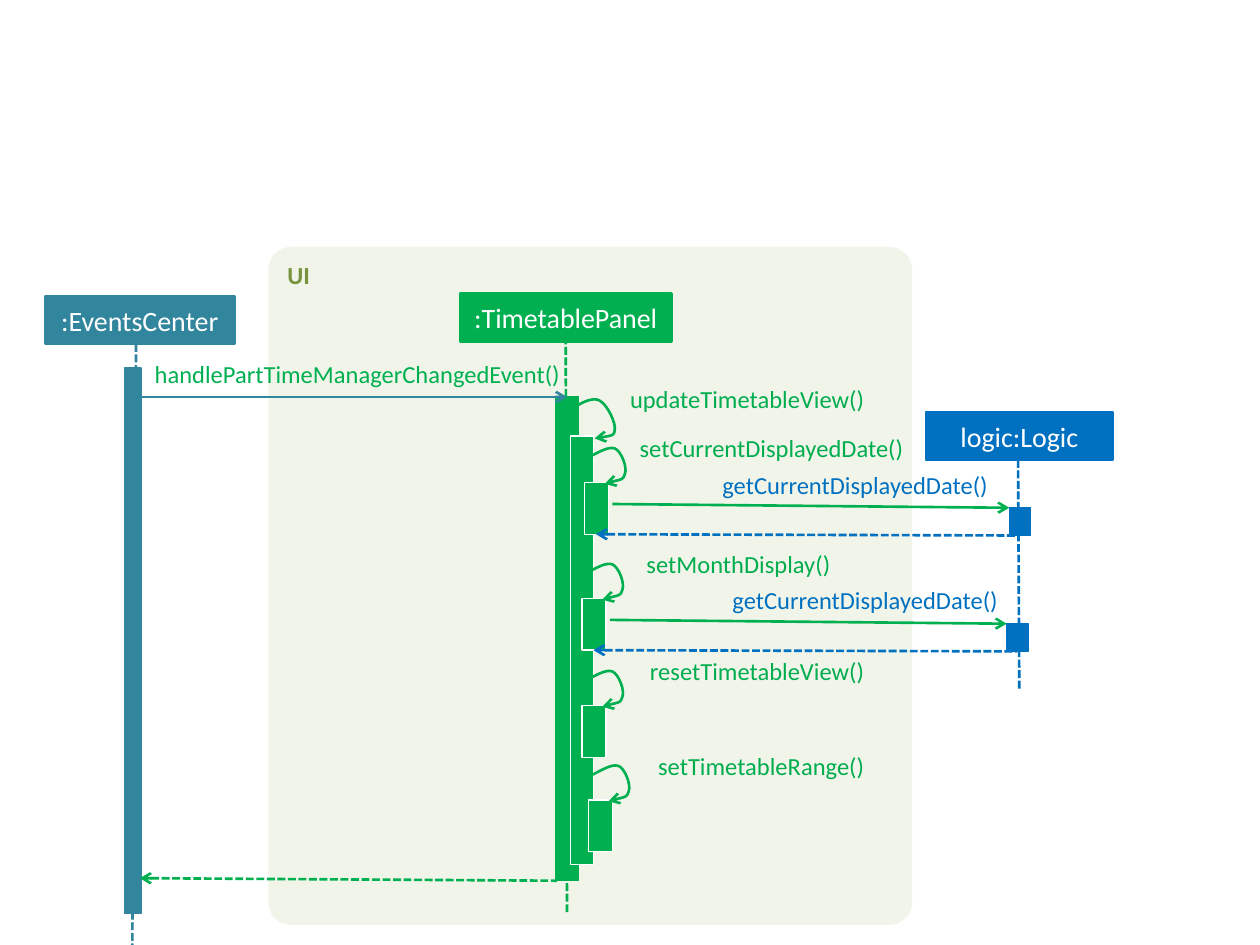
from dataclasses import dataclass

from pptx import Presentation, util as u
from pptx.dml.color import RGBColor
from pptx.enum import dml, shapes, text
from pptx.oxml.ns import qn
from lxml import etree

COLUMNS, ROWS = 100, 75


@dataclass(frozen=True)
class Theme:
    font: str = "Calibri"
    frame: str = "F1F5E9"
    frame_text: str = "77933C"
    events: str = "31859C"
    panel: str = "00B050"
    message: str = "00AD4E"
    logic: str = "0070C0"
    white: str = "FFFFFF"
    head_size: int = 16
    message_size: int = 14
    thin: float = 0.75
    thick: float = 1.5


THEME = Theme()


class SequenceDiagram:
    """Draws on one slide; lengths are grid columns and rows."""

    def __init__(self, presentation, theme):
        self.theme = theme
        self.slide = presentation.slides.add_slide(presentation.slide_layouts[6])
        self.column = presentation.slide_width / COLUMNS
        self.row = presentation.slide_height / ROWS

    def place(self, *lengths):
        units = (self.column, self.row) * (len(lengths) // 2)
        return [u.Emu(round(length * unit)) for length, unit in zip(lengths, units)]

    def add_words(self, shape, words, color, size, bold=False, align=None, **frame_format):
        frame = shape.text_frame
        for name, value in frame_format.items():
            setattr(frame, name, value)
        paragraph = frame.paragraphs[0]
        paragraph.alignment = align or text.PP_ALIGN.LEFT
        run = paragraph.add_run()
        run.text = words
        for name, value in dict(name=self.theme.font, size=u.Pt(size), bold=bold).items():
            setattr(run.font, name, value)
        run.font.color.rgb = RGBColor.from_string(color)

    def stroke(self, shape, color, width, dashed=False, head=False, tail=False):
        shape.line.color.rgb = RGBColor.from_string(color)
        shape.line.width = u.Pt(width)
        if dashed:
            shape.line.dash_style = dml.MSO_LINE.SQUARE_DOT
        line = shape.element.spPr.find(qn("a:ln"))
        for tag, wanted in (("a:headEnd", head), ("a:tailEnd", tail)):
            if wanted:
                etree.SubElement(line, qn(tag), type="arrow")

    def box(self, box, fill, line=None, width=THEME.thin, kind=shapes.MSO_SHAPE.RECTANGLE):
        shape = self.slide.shapes.add_shape(kind, *self.place(*box))
        shape.shadow.inherit = False
        shape.fill.solid()
        shape.fill.fore_color.rgb = RGBColor.from_string(fill)
        if line:
            self.stroke(shape, line, width)
        else:
            shape.line.fill.background()
        return shape

    def frame(self, box, words):
        shape = self.box(box, self.theme.frame, kind=shapes.MSO_SHAPE.ROUNDED_RECTANGLE)
        shape.adjustments[0] = 0.035
        self.add_words(shape, words, self.theme.frame_text, self.theme.message_size, bold=True,
                       vertical_anchor=text.MSO_ANCHOR.TOP)

    def line(self, start, end, color, **style):
        connector = self.slide.shapes.add_connector(
            shapes.MSO_CONNECTOR.STRAIGHT, *self.place(*start, *end))
        self.stroke(connector, color, self.theme.thick, **style)
        etree.SubElement(connector.element.spPr, qn("a:effectLst"))

    def participant(self, words, box, lifeline, color):
        self.line(*lifeline, color, dashed=True)
        shape = self.box(box, color, color, self.theme.thick)
        self.add_words(shape, words, self.theme.white, self.theme.head_size,
                       align=text.PP_ALIGN.CENTER, word_wrap=True,
                       vertical_anchor=text.MSO_ANCHOR.MIDDLE)

    def label(self, words, box, color):
        shape = self.slide.shapes.add_textbox(*self.place(*box))
        self.add_words(shape, words, color, self.theme.message_size, align=text.PP_ALIGN.RIGHT,
                       word_wrap=True, auto_size=text.MSO_AUTO_SIZE.SHAPE_TO_FIT_TEXT,
                       margin_left=0, margin_top=0, margin_right=0, margin_bottom=0)

    def wide_label(self, words, box, color):
        shape = self.slide.shapes.add_textbox(*self.place(*box))
        self.add_words(shape, words, color, self.theme.message_size, word_wrap=False,
                       auto_size=text.MSO_AUTO_SIZE.SHAPE_TO_FIT_TEXT)

    def self_call(self, left, top, curve):
        points = [tuple(self.place(left + x, top + y)) for x, y in curve]
        builder = self.slide.shapes.build_freeform(*points[0])
        builder.add_line_segments(points[1:], close=False)
        shape = builder.convert_to_shape()
        # Every three straight segments become one Bezier segment
        segments = list(shape.element.iter(qn("a:lnTo")))
        for index in range(0, len(segments), 3):
            bezier = etree.Element(qn("a:cubicBezTo"))
            segments[index].addprevious(bezier)
            for segment in segments[index:index + 3]:
                bezier.append(segment[0])
                segment.getparent().remove(segment)
        shape.shadow.inherit = False
        shape.fill.background()
        self.stroke(shape, self.theme.panel, self.theme.thick, head=True)

    def step(self, words, bar, label, curve):
        self.box(bar, self.theme.panel, self.theme.white)
        self.self_call(*bar[:2], curve)
        self.label(words, label, self.theme.message)

    def query(self, words, left, top, label):
        theme = self.theme
        self.box((left + 33.7, top + 2, 1.7, 2.2), theme.logic, theme.logic)
        self.label(words, label, theme.logic)
        self.line((left + 2.2, top + 1.7), (left + 33.7, top + 2), theme.panel, tail=True)
        self.line((left + 0.9, top + 4.1), (left + 34.5, top + 4.2), theme.logic,
                  dashed=True, head=True)


# Self-call curves, measured from the top left of the activation bar
OUTER_CURVE = [(1.9, 0.2), (2.7, 0.1), (3.5, 0), (3.5, -0.5), (3.6, -1),
               (2.9, -2.5), (2.3, -2.8), (1.8, -3.1), (1, -2.7), (0.3, -2.3)]
INNER_CURVE = [(1.6, 0.1), (2.3, -0.1), (3.1, -0.2), (3.2, -0.7), (3.4, -1.2),
               (2.9, -2.5), (2.4, -2.7), (1.9, -2.9), (1.1, -2.4), (0.3, -2)]

# Message, bar left and top, label left, top and width
STEPS = [
    ("setCurrentDisplayedDate()", 46.4, 38.3, 49, 34.4, 22.7),
    ("setMonthDisplay()", 46.2, 47.5, 49, 43.6, 16.9),
    ("resetTimetableView()", 46.2, 56, 49.6, 52.1, 19),
    ("setTimetableRange()", 46.7, 63.5, 50.1, 59.6, 18.5),
]
# Step asked from, label box
QUERIES = [(STEPS[0], (56.2, 37.3, 22.2, 2.4)), (STEPS[1], (55.2, 46.4, 24, 2.4))]

presentation = Presentation()
presentation.slide_width, presentation.slide_height = u.Inches(10), u.Inches(7.5)
diagram = SequenceDiagram(presentation, THEME)

# Frame and participants with their lifelines
diagram.frame((21.3, 19.6, 51.1, 53.8), "UI")
for words, box, lifeline, color in [
    ("logic:Logic", (73.5, 32.7, 14.8, 3.8), ((80.8, 36.5), (80.9, 54.7)), THEME.logic),
    (":EventsCenter", (3.6, 23.5, 15, 3.8), ((10.8, 27.3), (10.5, 75)), THEME.events),
    (":TimetablePanel", (36.5, 23.3, 16.8, 3.8), ((44.9, 26.7), (45, 72.5)), THEME.panel),
]:
    diagram.participant(words, box, lifeline, color)

# Main activations, the event and its return
diagram.box((44.1, 31.5, 1.8, 38.4), THEME.panel, THEME.panel)
diagram.box((9.9, 29.2, 1.3, 43.3), THEME.events, THEME.events)
diagram.wide_label("handlePartTimeManagerChangedEvent()", (11.3, 28, 34.6, 3.4), THEME.panel)
diagram.line((10.8, 31.5), (45, 31.5), THEME.events, tail=True)
diagram.line((11.1, 69.7), (44.2, 69.9), THEME.panel, dashed=True, head=True)

# Self-calls of the panel
diagram.step("updateTimetableView()", (45.3, 34.6, 1.8, 34), (47.8, 30.5, 20.8, 2.4), OUTER_CURVE)
for words, left, top, label_left, label_top, width in STEPS:
    diagram.step(words, (left, top, 1.9, 4.1), (label_left, label_top, width, 2.4), INNER_CURVE)

# Queries to the logic
for (_, left, top, *_), label in QUERIES:
    diagram.query("getCurrentDisplayedDate()", left, top, label)

presentation.save("out.pptx")
